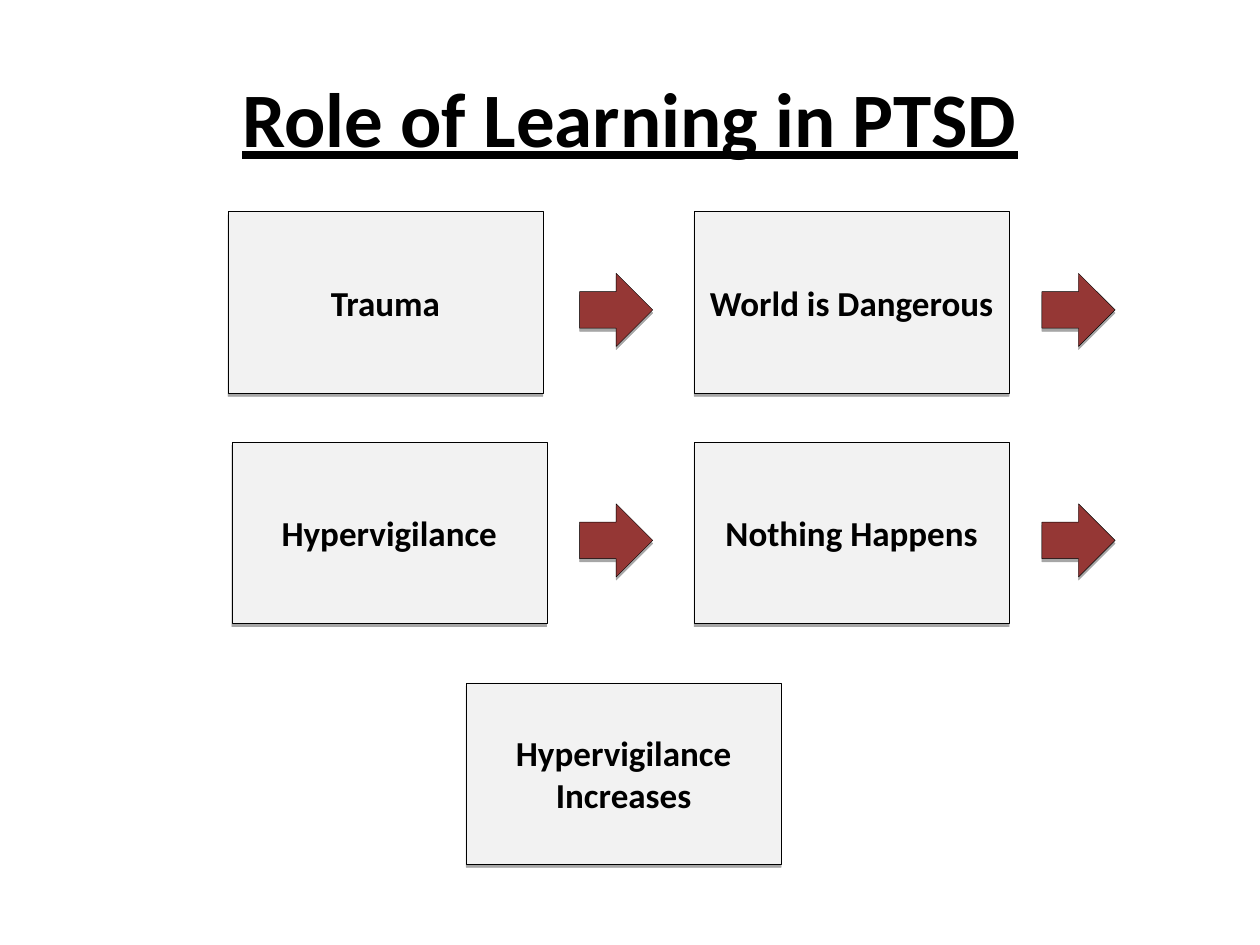
"""Build the slide on the role of learning in PTSD."""
from dataclasses import dataclass

from lxml import etree
from pptx import Presentation
from pptx import util as u
from pptx.dml import color
from pptx.enum import shapes, text
from pptx.oxml import ns

HUES = {"ink": "000000", "box": "F2F2F2", "arrow": "953735"}
BOX_W, BOX_H, SIDE = 180, 103.7, 41.8
ROWS = (121, 252.7, 390.2)
GAPS = (331.2, 595.4)
HEAD = {"size": u.Pt(44), "name": "Calibri", "bold": True, "underline": True}
BODY = {"size": u.Pt(20), "name": "Calibri", "bold": True}


@dataclass
class Box:
    """A labelled step."""
    label: str
    left: float
    row: int


STEPS = (
    Box("Trauma", 130.3, 0),
    Box("World is Dangerous", 396.7, 0),
    Box("Hypervigilance", 132.5, 1),
    Box("Nothing Happens", 396.7, 1),
    Box("Hypervigilance Increases", 266.4, 2),
)


def hue(key: str) -> color.RGBColor:
    """Look up a colour."""
    return color.RGBColor.from_string(HUES[key])


def write(frame, words: str, look: dict) -> None:
    """Put centred text in a frame."""
    frame.word_wrap = True
    frame.vertical_anchor = text.MSO_ANCHOR.MIDDLE
    para = frame.paragraphs[0]
    para.alignment = text.PP_ALIGN.CENTER
    run = para.add_run()
    run.text = words
    for key, val in look.items():
        setattr(run.font, key, val)
    run.font.color.rgb = hue("ink")


def shade(shape) -> None:
    """Give a shape a hard shadow just below it."""
    shape.shadow.inherit = False
    node = shape._element.spPr.find(ns.qn("a:effectLst"))
    drop = etree.SubElement(node, ns.qn("a:outerShdw"), blurRad="0",
                            dist=str(u.Pt(1.8)), dir="5400000", rotWithShape="0")
    tint = etree.SubElement(drop, ns.qn("a:srgbClr"), val=HUES["ink"])
    etree.SubElement(tint, ns.qn("a:alpha"), val="35000")


def draw(slide, kind, fill: str, *area: float):
    """Add a filled, outlined and shaded shape."""
    shape = slide.shapes.add_shape(kind, *map(u.Pt, area))
    shape.fill.solid()
    shape.fill.fore_color.rgb = hue(fill)
    shape.line.color.rgb = hue("ink")
    shape.line.width = u.Pt(0.25)
    shade(shape)
    return shape


def main() -> None:
    """Build and save the slide."""
    deck = Presentation()
    deck.slide_width, deck.slide_height = u.Pt(720), u.Pt(540)
    slide = deck.slides.add_slide(deck.slide_layouts[5])
    title = slide.shapes.title
    area = {"left": 36, "top": 21.6, "width": 648, "height": 90}
    for key, val in area.items():
        setattr(title, key, u.Pt(val))
    write(title.text_frame, "Role of Learning in PTSD", HEAD)

    kinds = shapes.MSO_SHAPE
    for step in STEPS:
        box = draw(slide, kinds.RECTANGLE, "box",
                   step.left, ROWS[step.row], BOX_W, BOX_H)
        write(box.text_frame, step.label, BODY)
    for top in ROWS[:2]:
        for left in GAPS:
            draw(slide, kinds.RIGHT_ARROW, "arrow",
                 left, top + 35.2, SIDE, SIDE)
    deck.save("out.pptx")


if __name__ == "__main__":
    main()
